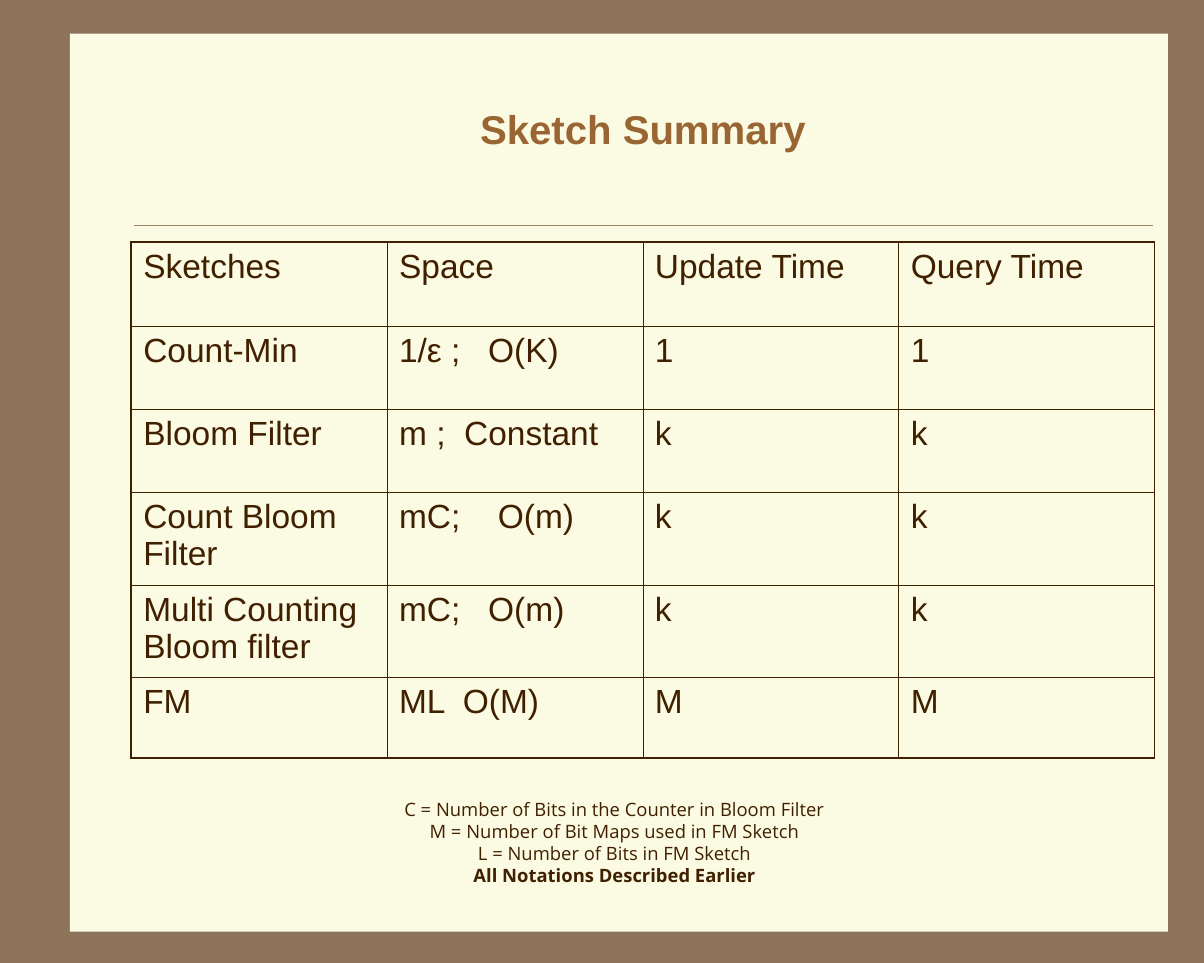
"""Build the sketch summary slide with its comparison table and notation key."""
from lxml import etree
from pptx import Presentation
from pptx import util as u
from pptx.dml.color import RGBColor
from pptx.enum import shapes, text
from pptx.oxml import parse_xml
from pptx.oxml.ns import nsdecls, qn

BROWN = RGBColor(0x8C, 0x73, 0x5A)
CREAM = RGBColor(0xFB, 0xFA, 0xE2)
RULE = RGBColor(0xA0, 0x83, 0x66)
TITLE = RGBColor(0x99, 0x66, 0x33)
INK = RGBColor(0x40, 0x20, 0x00)

TITLE_FONT = {"name": "Arial", "size": u.Pt(24), "bold": True}
CELL_FONT = {"name": "Arial", "size": u.Pt(20)}
KEY_FONT = {"name": "Open Sans", "size": u.Pt(11)}

ROWS = [
    ("Sketches", "Space", "Update Time", "Query Time"),
    ("Count-Min", "1/ε ;\tO(K)", "1", "1"),
    ("Bloom Filter", "m ;\tConstant", "k", "k"),
    ("Count Bloom Filter", "mC;\tO(m)", "k", "k"),
    ("Multi Counting Bloom filter", "mC;\tO(m)", "k", "k"),
    ("FM", "ML\tO(M)", "M", "M"),
]
ROW_HEIGHTS = [0.7, 0.69, 0.69, 0.77, 0.77, 0.67]
SPACE_TABS = [0, 0.74, 0.54, 0.82, 0.74, 0.53]
KEY_LINES = [
    "C = Number of Bits in the Counter in Bloom Filter",
    "M = Number of Bit Maps used in FM Sketch",
    "L = Number of Bits in FM Sketch",
    "All Notations Described Earlier",
]


def write(para, words, style, color):
    """Add one formatted span to a paragraph."""
    span = para.add_run()
    span.text = words
    for name, value in style.items():
        setattr(span.font, name, value)
    span.font.color.rgb = color
    return span


def add_backdrop(page, left, top, width, height):
    """Paint the background, the cream panel and the rule under the title."""
    page.background.fill.solid()
    page.background.fill.fore_color.rgb = BROWN
    panel = page.shapes.add_shape(
        shapes.MSO_SHAPE.RECTANGLE, *map(u.Inches, (left, top, width, height)))
    panel.shadow.inherit = False
    panel.fill.solid()
    panel.fill.fore_color.rgb = CREAM
    panel.line.fill.background()
    rule_top = u.Inches(top + 1.59)
    rule = page.shapes.add_connector(
        shapes.MSO_CONNECTOR.STRAIGHT, u.Inches(left + 0.53), rule_top,
        u.Inches(left + width - 0.12), rule_top)
    rule.line.color.rgb = RULE
    rule.line.width = u.Pt(0.25)
    etree.SubElement(rule._element.spPr, qn("a:effectLst"))


def add_title(page, left, top, width, height):
    """Place the centred slide title."""
    box = page.shapes.add_textbox(*map(u.Inches, (left, top, width, height)))
    frame = box.text_frame
    frame.word_wrap = True
    frame.vertical_anchor = text.MSO_ANCHOR.MIDDLE
    para = frame.paragraphs[0]
    para.alignment = text.PP_ALIGN.CENTER
    write(para, "Sketch Summary", TITLE_FONT, TITLE)


def set_borders(cell, widths):
    """Draw the cell borders, given a width in points for each side."""
    properties = cell._tc.get_or_add_tcPr()
    for side, width in widths.items():
        properties.append(parse_xml(
            f'<a:ln{side} {nsdecls("a")} w="{u.Pt(width)}"><a:solidFill>'
            f'<a:srgbClr val="{INK}"/></a:solidFill></a:ln{side}>'))


def add_tab(para, inches):
    """Give a paragraph one left tab stop."""
    tabs = etree.SubElement(para._p.get_or_add_pPr(), qn("a:tabLst"))
    etree.SubElement(tabs, qn("a:tab"), pos=str(u.Inches(inches)), algn="l")


def add_sketch_table(page, left, top, width):
    """Place the table comparing the space and time of the sketches."""
    row_count, column_count = len(ROWS), len(ROWS[0])
    table = page.shapes.add_table(
        row_count, column_count,
        *map(u.Inches, (left, top, width, sum(ROW_HEIGHTS)))).table
    table.first_row = table.horz_banding = False
    for column in table.columns:
        column.width = u.Inches(width / column_count)
    for r, words in enumerate(ROWS):
        table.rows[r].height = u.Inches(ROW_HEIGHTS[r])
        for c, entry in enumerate(words):
            cell = table.cell(r, c)
            outer = {"L": c == 0, "R": c == column_count - 1,
                     "T": r == 0, "B": r == row_count - 1}
            set_borders(cell, {side: 1.08 if edge else 0.45
                               for side, edge in outer.items()})
            cell.fill.background()
            para = cell.text_frame.paragraphs[0]
            if "\t" in entry:
                add_tab(para, SPACE_TABS[r])
            write(para, entry, CELL_FONT, INK)


def add_key(page, left, top, width, height):
    """Place the centred key to the notation, its last line in bold."""
    box = page.shapes.add_textbox(*map(u.Inches, (left, top, width, height)))
    frame = box.text_frame
    frame.word_wrap = False
    for number, line in enumerate(KEY_LINES):
        para = frame.add_paragraph() if number else frame.paragraphs[0]
        para.alignment = text.PP_ALIGN.CENTER
        span = write(para, line, KEY_FONT, INK)
    span.font.bold = True


def main():
    """Assemble and save the deck."""
    deck = Presentation()
    deck.slide_width, deck.slide_height = u.Inches(10), u.Inches(8)
    page = deck.slides.add_slide(deck.slide_layouts[6])
    add_backdrop(page, 0.58, 0.28, 9.12, 7.46)
    add_title(page, 1.09, 0.58, 8.5, 0.97)
    add_sketch_table(page, 1.09, 2.01, 8.5)
    add_key(page, 3.25, 6.58, 3.71, 0.84)
    deck.save("out.pptx")


if __name__ == "__main__":
    main()
